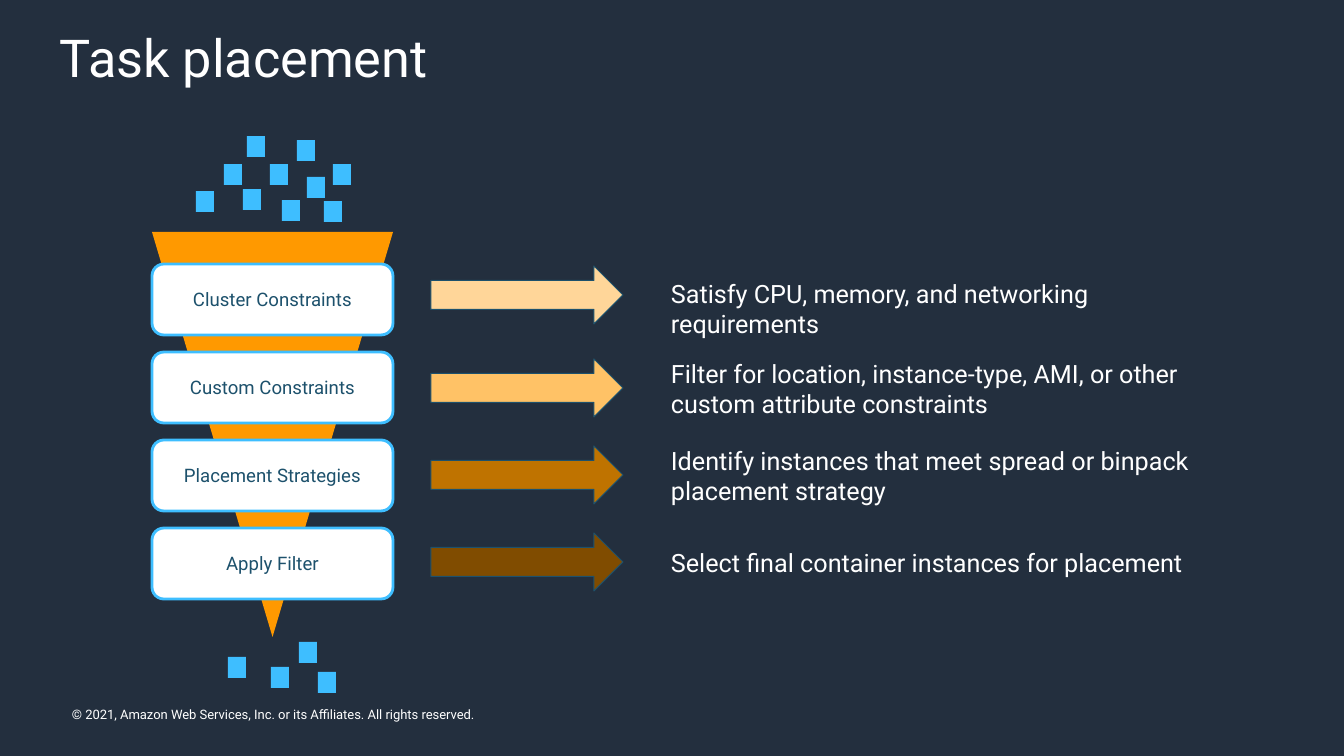
from pptx import Presentation
from pptx.dml.color import RGBColor
from pptx.enum.shapes import MSO_SHAPE
from pptx.enum.text import MSO_ANCHOR, PP_ALIGN
from pptx.util import Emu, Pt

RECTANGLE = MSO_SHAPE.RECTANGLE
ROUNDED = MSO_SHAPE.ROUNDED_RECTANGLE
TRIANGLE = MSO_SHAPE.ISOSCELES_TRIANGLE
ARROW = MSO_SHAPE.RIGHT_ARROW
TOP, MIDDLE = MSO_ANCHOR.TOP, MSO_ANCHOR.MIDDLE
LEFT, CENTER = PP_ALIGN.LEFT, PP_ALIGN.CENTER

NAVY = RGBColor(0x23, 0x2F, 0x3E)
WHITE = RGBColor(0xFF, 0xFF, 0xFF)
SKY = RGBColor(0x3E, 0xBE, 0xFF)
ORANGE = RGBColor(0xFF, 0x99, 0x00)
TEAL = RGBColor(0x1D, 0x51, 0x6C)
PEACH = RGBColor(0xFF, 0xD6, 0x99)
APRICOT = RGBColor(0xFF, 0xC2, 0x66)
OCHRE = RGBColor(0xBF, 0x73, 0x00)
BROWN = RGBColor(0x80, 0x4C, 0x00)

TITLE = "Task placement"
COPYRIGHT = "© 2021, Amazon Web Services, Inc. or its Affiliates. All rights reserved."
STAGES = [
    ("Cluster Constraints", PEACH, 266, 273, 72,
     "Satisfy CPU, memory, and networking requirements"),
    ("Custom Constraints", APRICOT, 359, 353, 72,
     "Filter for location, instance-type, AMI, or other custom attribute constraints"),
    ("Placement Strategies", OCHRE, 446, 440, 72,
     "Identify instances that meet spread or binpack placement strategy"),
    ("Apply Filter", BROWN, 533, 542, 40,
     "Select final container instances for placement"),
]
INCOMING_TASKS = [(243, 189), (270, 164), (282, 200), (307, 177), (224, 164),
                  (247, 136), (297, 140), (196, 191), (324, 201), (333, 164)]
PLACED_TASKS = [(271, 667), (318, 672), (228, 657), (299, 642)]

SLIDE_WIDTH, SLIDE_HEIGHT = 1344, 756
FUNNEL_LEFT, FUNNEL_WIDTH = 152, 241
STAGE_TOP, STAGE_PITCH, STAGE_HEIGHT = 264, 88, 71
FONT = "Roboto"


def px(length):
    return Emu(round(length * 914400 / 100.8))


def write(shape, text, size, color=WHITE, align=LEFT, anchor=TOP, inset=None):
    frame = shape.text_frame
    frame.word_wrap = True
    frame.vertical_anchor = anchor
    if inset is not None:
        frame.margin_left = frame.margin_right = px(inset)
        frame.margin_top = frame.margin_bottom = px(inset)
    paragraph = frame.paragraphs[0]
    paragraph.alignment = align
    run = paragraph.add_run()
    run.text = text
    run.font.name = FONT
    run.font.size = Pt(size)
    run.font.color.rgb = color


def add_text(slide, box, text, size, **text_format):
    write(slide.shapes.add_textbox(*map(px, box)), text, size, **text_format)


def add_shape(slide, kind, box, fill, line=None, line_width=1):
    shape = slide.shapes.add_shape(kind, *map(px, box))
    shape.shadow.inherit = False
    shape.fill.solid()
    shape.fill.fore_color.rgb = fill
    if line is None:
        shape.line.fill.background()
    else:
        shape.line.color.rgb = line
        shape.line.width = Pt(line_width)
    return shape


def main():
    presentation = Presentation()
    presentation.slide_width = px(SLIDE_WIDTH)
    presentation.slide_height = px(SLIDE_HEIGHT)
    slide = presentation.slides.add_slide(presentation.slide_layouts[6])
    slide.background.fill.solid()
    slide.background.fill.fore_color.rgb = NAVY

    add_text(slide, (72, 706, 445, 16), COPYRIGHT, 9.3, inset=0)
    add_text(slide, (50, 17, 1205, 80), TITLE, 37.3, anchor=MIDDLE)

    for left, top in INCOMING_TASKS + PLACED_TASKS:
        add_shape(slide, RECTANGLE, (left, top, 18, 21), SKY)

    funnel = add_shape(slide, TRIANGLE, (FUNNEL_LEFT, 232, FUNNEL_WIDTH, 405), ORANGE)
    funnel.rotation = 180

    for index, (name, color, arrow_top, text_top, text_height, detail) in enumerate(STAGES):
        top = STAGE_TOP + index * STAGE_PITCH
        stage = add_shape(slide, ROUNDED, (FUNNEL_LEFT, top, FUNNEL_WIDTH, STAGE_HEIGHT),
                          WHITE, line=SKY, line_width=2)
        write(stage, name, 13.3, color=TEAL, align=CENTER, anchor=MIDDLE)
        add_shape(slide, ARROW, (431, arrow_top, 192, 58), color, line=TEAL, line_width=0.75)
        add_text(slide, (661, text_top, 577, text_height), detail, 18)

    presentation.save("out.pptx")


if __name__ == "__main__":
    main()
